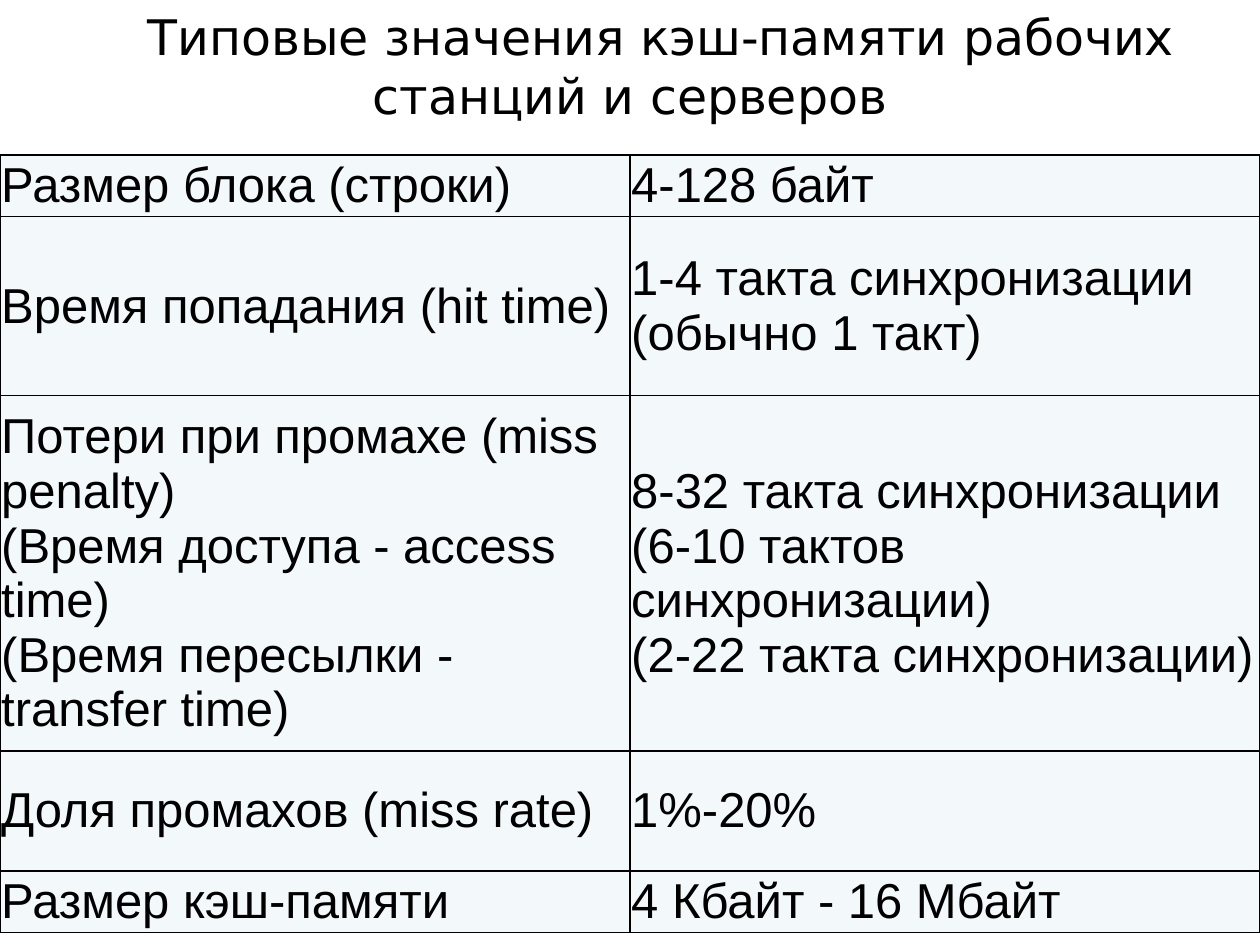
from lxml import etree
from pptx import Presentation
from pptx.dml.color import RGBColor
from pptx.enum.text import MSO_ANCHOR, MSO_AUTO_SIZE, PP_ALIGN
from pptx.oxml.ns import qn
from pptx.util import Inches, Pt

MIDDLE = MSO_ANCHOR.MIDDLE
CENTER = PP_ALIGN.CENTER
LEFT = PP_ALIGN.LEFT
GROW = MSO_AUTO_SIZE.SHAPE_TO_FIT_TEXT
TITLE_ONLY = 5

HEADING = "Типовые значения кэш-памяти рабочих станций и серверов"
CACHE_VALUES = [
    (0.49, "Размер блока (строки)", "4-128 байт"),
    (1.42, "Время попадания (hit time)",
     "1-4 такта синхронизации\v(обычно 1 такт)"),
    (2.82, "Потери при промахе (miss penalty)\v(Время доступа - access time)"
     "\v(Время пересылки - transfer time)",
     "8-32 такта синхронизации\v(6-10 тактов синхронизации)"
     "\v(2-22 такта синхронизации)"),
    (0.95, "Доля промахов (miss rate)", "1%-20%"),
    (0.49, "Размер кэш-памяти", "4 Кбайт - 16 Мбайт"),
]


def color(value):
    return RGBColor.from_string(value)


class SlideBuilder:
    ink = "000000"
    cell_fill = "F3F9FA"
    title_font = "DejaVu Sans"
    body_font = "Arial"
    size = 28
    inset = 0.01

    def __init__(self, slide):
        self.slide = slide

    def format_paragraph(self, paragraph, font_name, alignment):
        paragraph.alignment = alignment
        paragraph.font.name = font_name
        paragraph.font.size = Pt(self.size)
        paragraph.font.color.rgb = color(self.ink)

    def title(self, text, left, top, width, height, indent):
        heading = self.slide.shapes.title
        heading.left, heading.top = Inches(left), Inches(top)
        heading.width, heading.height = Inches(width), Inches(height)
        frame = heading.text_frame
        frame.text = text
        frame.word_wrap = True
        frame.auto_size = GROW
        frame.vertical_anchor = MIDDLE
        paragraph = frame.paragraphs[0]
        properties = paragraph._p.get_or_add_pPr()
        properties.set("marL", "0")
        properties.set("indent", str(Inches(indent)))
        self.format_paragraph(paragraph, self.title_font, CENTER)

    def borders(self, cell):
        properties = cell._tc.get_or_add_tcPr()
        for side in ("lnL", "lnR", "lnT", "lnB"):
            line = etree.SubElement(properties, qn(f"a:{side}"), w=str(Pt(1)))
            fill = etree.SubElement(line, qn("a:solidFill"))
            etree.SubElement(fill, qn("a:srgbClr"), val=self.ink)

    def cell(self, cell, text):
        self.borders(cell)
        cell.fill.solid()
        cell.fill.fore_color.rgb = color(self.cell_fill)
        cell.margin_left = cell.margin_right = Inches(self.inset)
        cell.margin_top = cell.margin_bottom = Inches(self.inset)
        cell.vertical_anchor = MIDDLE
        cell.text_frame.text = text
        self.format_paragraph(cell.text_frame.paragraphs[0], self.body_font, LEFT)

    def table(self, rows, left, top, width):
        height = sum(row[0] for row in rows)
        columns = len(rows[0]) - 1
        table = self.slide.shapes.add_table(
            len(rows), columns, Inches(left), Inches(top),
            Inches(width), Inches(height)).table
        table.first_row = False
        table.horz_banding = False
        for column in table.columns:
            column.width = Inches(width / columns)
        for index, (row_height, *texts) in enumerate(rows):
            table.rows[index].height = Inches(row_height)
            for position, text in enumerate(texts):
                self.cell(table.cell(index, position), text)


def main():
    deck = Presentation()
    deck.slide_width, deck.slide_height = Inches(10), Inches(7.5)
    builder = SlideBuilder(deck.slides.add_slide(deck.slide_layouts[TITLE_ONLY]))
    builder.title(HEADING, 0, 0, 10, 1.04, indent=0.49)
    builder.table(CACHE_VALUES, 0, 1.23, 10)
    deck.save("out.pptx")


if __name__ == "__main__":
    main()
